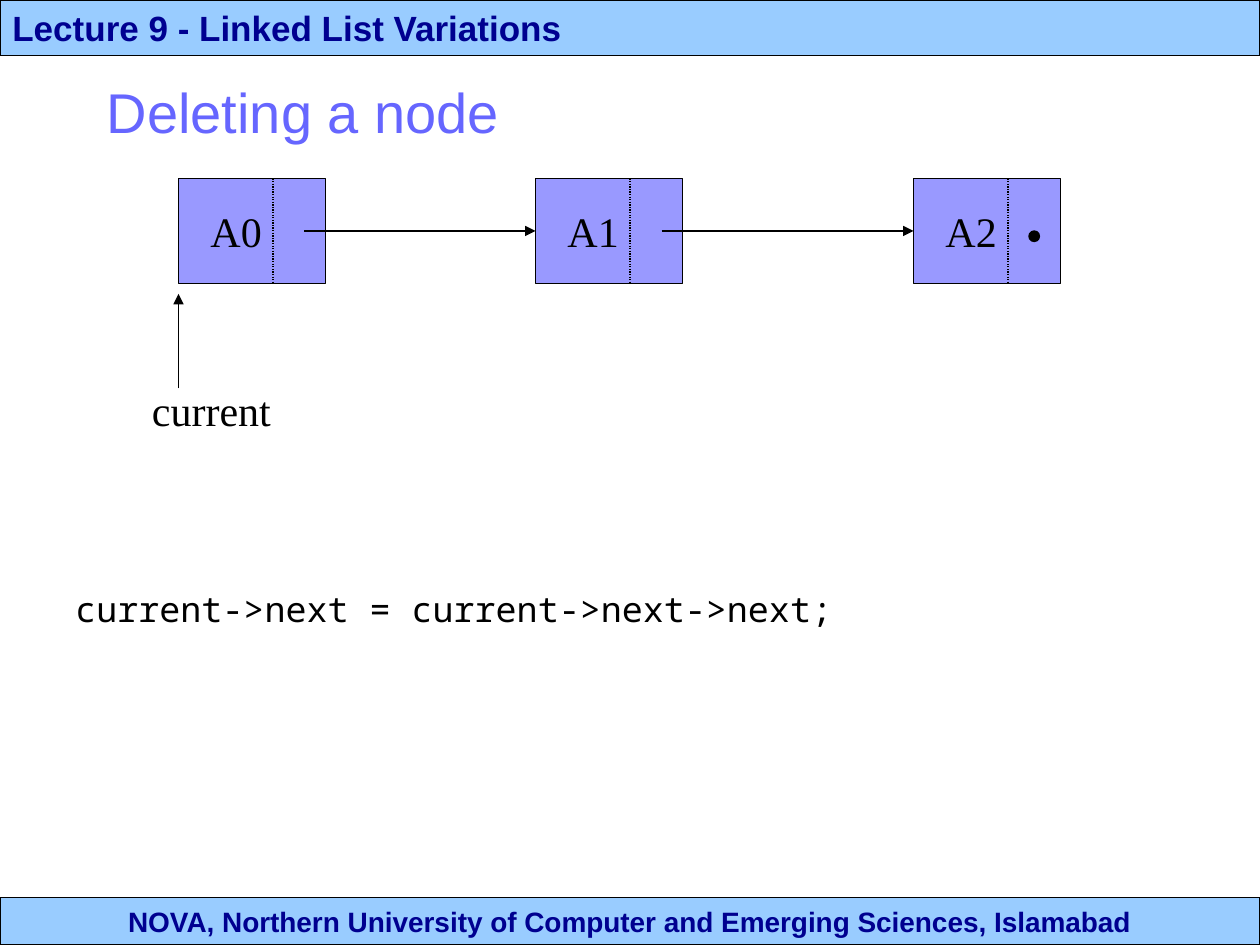
from lxml import etree
from pptx import Presentation
from pptx.dml.color import RGBColor
from pptx.enum import dml, shapes, text
from pptx.oxml.ns import qn
from pptx.util import Inches, Pt

COLORS = {"band": "99CCFF", "navy": "000090", "node": "9999FF",
          "title": "6666FF", "black": "000000"}
COLUMNS, ROWS = 120, 90

presentation = Presentation()
presentation.slide_width, presentation.slide_height = Inches(10), Inches(7.5)
slide = presentation.slides.add_slide(presentation.slide_layouts[6])
column = presentation.slide_width / COLUMNS
row = presentation.slide_height / ROWS


def add_text(content, left, top, width, height, fill=None, font="Arial", size=24,
             color="black", bold=False, align="LEFT", anchor="MIDDLE",
             right_inset=1.2, bottom_inset=0.6, geometry="RECTANGLE"):
    """Add text at a grid position, in a filled shape if a fill is given."""
    box = [round(left * column), round(top * row),
           round(width * column), round(height * row)]
    if fill:
        shape = slide.shapes.add_shape(shapes.MSO_SHAPE[geometry], *box)
        shape.shadow.inherit = False
        shape.fill.solid()
        shape.fill.fore_color.rgb = RGBColor.from_string(COLORS[fill])
        shape.line.color.rgb = RGBColor.from_string(COLORS["black"])
        shape.line.width = Pt(0.75)
    else:
        shape = slide.shapes.add_textbox(*box)
    frame = shape.text_frame
    frame.word_wrap = True
    frame.vertical_anchor = text.MSO_ANCHOR[anchor]
    frame.margin_right = round(right_inset * column)
    frame.margin_bottom = round(bottom_inset * row)
    paragraph = frame.paragraphs[0]
    paragraph.alignment = text.PP_ALIGN[align]
    if content:
        run = paragraph.add_run()
        run.text = content
        run.font.name, run.font.size, run.font.bold = font, Pt(size), bold
        run.font.color.rgb = RGBColor.from_string(COLORS[color])
    return shape


def add_line(x1, y1, x2, y2, arrow=False, dotted=False):
    """Add a thin line between two grid points."""
    line = slide.shapes.add_connector(
        shapes.MSO_CONNECTOR.STRAIGHT, round(x1 * column), round(y1 * row),
        round(x2 * column), round(y2 * row))
    line.line.color.rgb = RGBColor.from_string(COLORS["black"])
    line.line.width = Pt(0.75)
    if dotted:
        line.line.dash_style = dml.MSO_LINE.ROUND_DOT
    if arrow:
        etree.SubElement(line.line._get_or_add_ln(), qn("a:tailEnd"), type="triangle")
    etree.SubElement(line._element.spPr, qn("a:effectLst"))


# Footer and header bands
add_text("NOVA, Northern University of Computer and Emerging Sciences, Islamabad",
         0, 85.5, COLUMNS, 4.5, fill="band", size=16, color="navy", bold=True,
         align="CENTER")
add_text("Lecture 9 - Linked List Variations", 0, 0, COLUMNS, 5.3, fill="band",
         size=20, color="navy", bold=True)

# Title and statement
add_text("Deleting a node", 9, 7.1, 102, 7, size=32, color="title")
add_text("current->next = current->next->next;", 6, 47, 90, 13,
         font="Noto Sans Mono", size=20, anchor="BOTTOM", bottom_inset=0)

# List nodes, each with a dotted divider before its link field
node_lefts = [17, 51, 87]
node_top, node_width, node_height = 17, 14, 10
link_row = node_top + 5
for index, left in enumerate(node_lefts):
    add_text(f"A{index}", left, node_top, node_width, node_height, fill="node",
             font="Times New Roman", align="CENTER", right_inset=4.2)
    add_line(left + 9, node_top, left + 9, node_top + node_height, dotted=True)

# Links between nodes, and the dot that ends the list
for left, next_left in zip(node_lefts, node_lefts[1:]):
    add_line(left + 12, link_row, next_left, link_row, arrow=True)
add_text("", node_lefts[-1] + 11, link_row, 1, 1, fill="black", geometry="OVAL")

# Pointer to the current node
add_text("current", 13.3, 36, 13.7, 6, font="Times New Roman")
add_line(node_lefts[0], 37, node_lefts[0], 28, arrow=True)

presentation.save("out.pptx")
